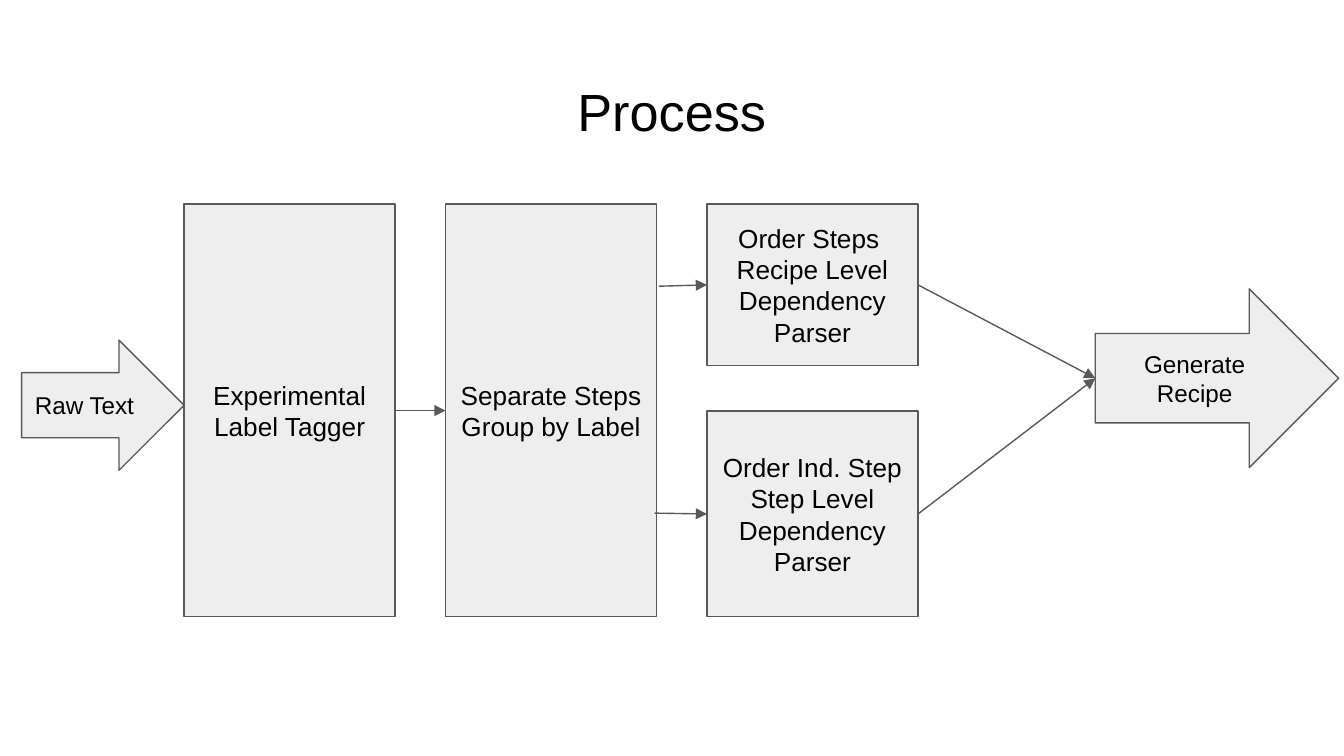
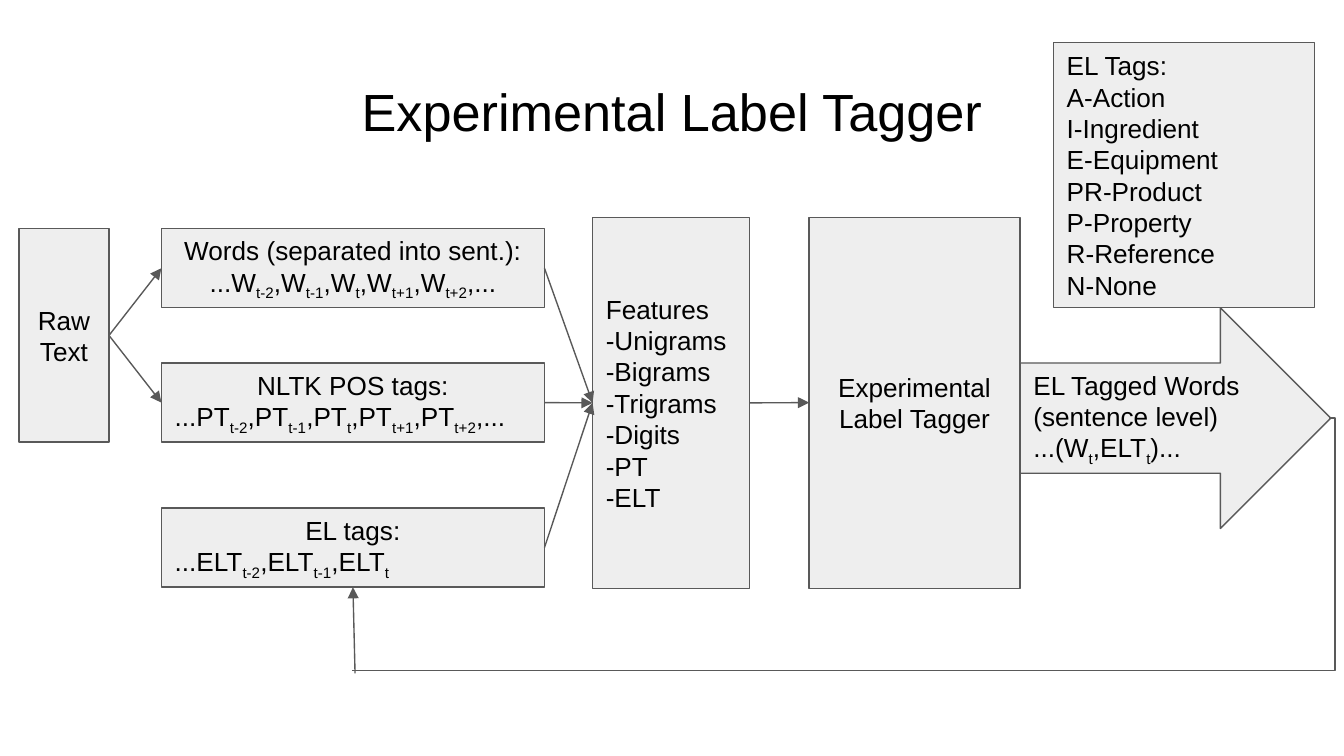
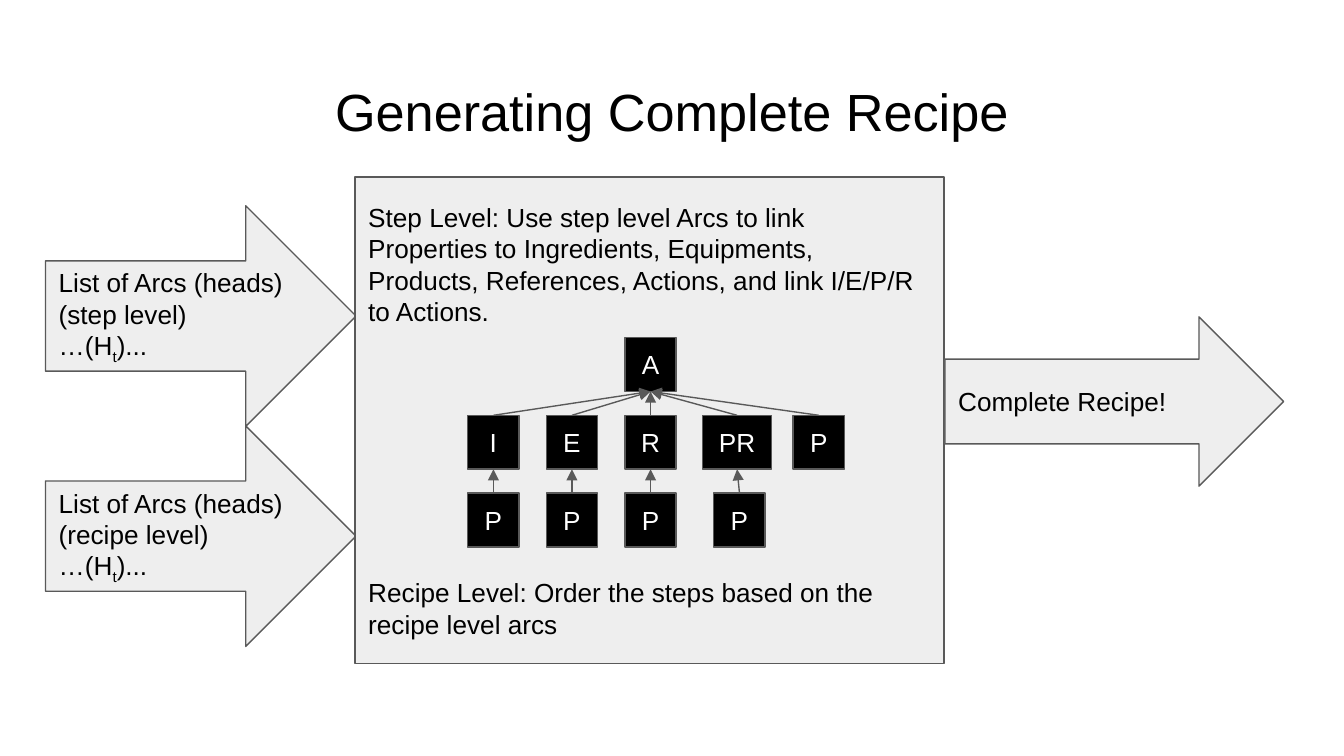
"""Build three diagrams of a recipe-generating pipeline."""
from lxml import etree
from pptx import Presentation, util as u
from pptx.dml.color import RGBColor
from pptx.enum import shapes, text
from pptx.oxml.ns import qn

FONT, INK, PAPER, PALE, EDGE = "Arial", "000000", "FFFFFF", "EEEEEE", "595959"
SLIDE_SIZE = (25.4, 14.29)
TITLE_BOX = (0.86, 1.24, 23.67, 1.6)
INSET = 0.25
LEFT, CENTER = text.PP_ALIGN.LEFT, text.PP_ALIGN.CENTER
SITES = {"top": 0, "left": 1, "bottom": 2, "right": 3}
GEOMETRY = {"box": shapes.MSO_SHAPE.RECTANGLE, "arrow": shapes.MSO_SHAPE.RIGHT_ARROW}

STAGE_LEFT, STAGE_STEP, STAGE_WIDTH, STAGE_TOP = 3.48, 4.94, 3.99, 3.86
STAGES = [STAGE_LEFT + STAGE_STEP * column for column in range(3)]
INPUT_LEFT, INPUT_WIDTH, INPUT_HEIGHT = 3.05, 7.24, 1.5
BIG_ARROW = (5.87, 4.17)
NODE_WIDTH, NODE_HEIGHT, NODE_STEP = 0.97, 1.02, 1.47
TREE_LEFT, TREE_TOP = 8.84, 6.38
TREE_COLUMNS = [TREE_LEFT + 1.485 * column for column in range(3)]

# Each part is name, kind, box, text and format; "~" encloses a subscript.
PROCESS = {
    "title": "Process",
    "parts": [
        ("tagger", "box", (STAGES[0], STAGE_TOP, STAGE_WIDTH, 7.8),
         "Experimental Label Tagger", {}),
        ("separate", "box", (STAGES[1], STAGE_TOP, STAGE_WIDTH, 7.8),
         "Separate Steps \nGroup by Label", {}),
        ("order step", "box", (STAGES[2], 7.77, STAGE_WIDTH, 3.89),
         "Order Ind. Step\nStep Level Dependency Parser", {}),
        ("raw", "arrow", (0.41, 6.43, 3.07, 2.46), "Raw Text", {"size": 13, "align": LEFT}),
        ("order recipe", "box", (STAGES[2], STAGE_TOP, STAGE_WIDTH, 3.05),
         "Order Steps \nRecipe Level Dependency Parser", {}),
        ("generate", "arrow", (20.7, 5.46, 4.6, 3.38), "Generate Recipe", {"size": 13}),
    ],
    "links": [
        (("tagger", "right"), ("separate", "left")),
        ((12.37, 9.7), ("order step", "left")),
        ((12.45, 5.41), ("order recipe", "left")),
        (("order recipe", "right"), ("generate", "left")),
        (("order step", "right"), ("generate", "left")),
    ],
}

TAGGER = {
    "title": "Experimental Label Tagger",
    "parts": [
        ("tagger", "box", (15.29, 4.11, 3.99, 7.01), "Experimental Label Tagger", {}),
        ("words", "box", (INPUT_LEFT, 4.32, INPUT_WIDTH, INPUT_HEIGHT),
         "Words (separated into sent.):\n...W~t-2~,W~t-1~,W~t~,W~t+1~,W~t+2~,...", {}),
        ("pos", "box", (INPUT_LEFT, 6.86, INPUT_WIDTH, INPUT_HEIGHT),
         "NLTK POS tags:\n...PT~t-2~,PT~t-1~,PT~t~,PT~t+1~,PT~t+2~,...", {"rest": LEFT}),
        ("labels", "box", (INPUT_LEFT, 9.6, INPUT_WIDTH, INPUT_HEIGHT),
         "EL tags:\n...ELT~t-2~,ELT~t-1~,ELT~t~", {"rest": LEFT}),
        ("features", "box", (11.2, 4.11, 2.97, 7.01),
         "Features\n-Unigrams\n-Bigrams\n-Trigrams\n-Digits\n-PT\n-ELT", {"align": LEFT}),
        ("tagged", "arrow", (19.28, 5.82, *BIG_ARROW),
         "EL Tagged Words\v(sentence level)\n...(W~t~,ELT~t~)...", {"align": LEFT}),
        ("raw", "box", (0.36, 4.32, 1.7, 4.04), "Raw Text", {}),
        ("legend", "box", (19.91, 0.81, 4.93, 5),
         "EL Tags:\vA-Action\nI-Ingredient\nE-Equipment\nPR-Product\nP-Property\n"
         "R-Reference\nN-None", {"align": LEFT}),
    ],
    "links": [((source, "right"), ("features", "left")) for source in ("words", "pos", "labels")]
    + [(("raw", "right"), (target, "left")) for target in ("words", "pos")]
    + [(("features", "right"), (15.29, 7.61)), ((6.71, 12.73), ("labels", "bottom"))],
    "feedback": ((25.12, 7.9), (6.65, 12.67), -600),
}

TREE = [
    ("root", "A", TREE_COLUMNS[2], 0, NODE_WIDTH),
    ("ingredient", "I", TREE_COLUMNS[0], 1, NODE_WIDTH),
    ("equipment", "E", TREE_COLUMNS[1], 1, NODE_WIDTH),
    ("reference", "R", TREE_COLUMNS[2], 1, NODE_WIDTH),
    ("product", "PR", 13.28, 1, 1.3),
    ("property", "P", 14.99, 1, NODE_WIDTH),
    ("product property", "P", 13.49, 2, NODE_WIDTH),
    ("reference property", "P", TREE_COLUMNS[2], 2, NODE_WIDTH),
    ("equipment property", "P", TREE_COLUMNS[1], 2, NODE_WIDTH),
    ("ingredient property", "P", TREE_COLUMNS[0], 2, NODE_WIDTH),
]
HEADS = ["ingredient", "equipment", "reference", "product"]

RECIPE = {
    "title": "Generating Complete Recipe",
    "parts": [
        (f"{level} arcs", "arrow", (0.86, top, *BIG_ARROW),
         f"List of Arcs (heads)\v({level} level)\n…(H~t~)...", {"align": LEFT})
        for level, top in (("recipe", 8.05), ("step", 3.89))
    ] + [
        ("levels", "box", (6.71, 3.35, 11.13, 9.19),
         "Step Level: Use step level Arcs to link Properties to Ingredients, Equipments, "
         "Products, References, Actions, and link I/E/P/R to Actions.\n"
         "Recipe Level: Order the steps based on the recipe level arcs",
         {"align": LEFT, "gap": 134}),
        ("complete", "arrow", (17.86, 5.99, 6.4, 3.2), "Complete Recipe!", {"align": LEFT}),
    ] + [
        (name, "box", (left, TREE_TOP + NODE_STEP * row, width, NODE_HEIGHT), label,
         {"fill": INK, "color": PAPER})
        for name, label, left, row, width in TREE
    ],
    "links": [((f"{head} property", "top"), (head, "bottom")) for head in HEADS]
    + [((child, "top"), ("root", "bottom")) for child in HEADS + ["property"]],
}


def rgb(value):
    """Turn a hex string into a colour."""
    return RGBColor.from_string(value)


def write(shape, content, size=14, color=INK, align=CENTER, rest=None, gap=0,
          anchor=text.MSO_ANCHOR.MIDDLE):
    """Write paragraphs, line breaks and subscripts into a shape."""
    frame = shape.text_frame
    frame.word_wrap = True
    frame.vertical_anchor = anchor
    frame.margin_left = frame.margin_right = u.Cm(INSET)
    frame.margin_top = frame.margin_bottom = u.Cm(INSET)
    for number, line in enumerate(content.split("\n")):
        paragraph = frame.add_paragraph() if number else frame.paragraphs[0]
        paragraph.alignment = rest if number and rest else align
        paragraph.space_before = u.Pt(gap if number else 0)
        for order, piece in enumerate(line.split("~")):
            for row, words in enumerate(piece.split("\v")):
                if row:
                    paragraph.add_line_break()
                if not words:
                    continue
                run = paragraph.add_run()
                run.text = words
                run.font.name, run.font.size = FONT, u.Pt(size)
                run.font.color.rgb = rgb(color)
                if order % 2:
                    run._r.get_or_add_rPr().set("baseline", "-25000")


def outline(line):
    """Give a line the shared colour and width."""
    line.color.rgb = rgb(EDGE)
    line.width = u.Pt(0.75)


def add_part(slide, kind, box, content, fill=PALE, **style):
    """Add a filled and outlined shape with its text."""
    shape = slide.shapes.add_shape(GEOMETRY[kind], *map(u.Cm, box))
    shape.shadow.inherit = False
    shape.fill.solid()
    shape.fill.fore_color.rgb = rgb(fill)
    outline(shape.line)
    write(shape, content, **style)
    return shape


def add_line(slide, start, end, kind=shapes.MSO_CONNECTOR.STRAIGHT):
    """Add an outlined connector without shadow."""
    connector = slide.shapes.add_connector(kind, *map(u.Cm, (*start, *end)))
    outline(connector.line)
    etree.SubElement(connector._element.spPr, qn("a:effectLst"))
    return connector


def add_link(slide, parts, start, end):
    """Add an arrow between points or named sides of parts."""
    points = [(0, 0) if isinstance(place[0], str) else place for place in (start, end)]
    connector = add_line(slide, *points)
    for place, connect in ((start, connector.begin_connect), (end, connector.end_connect)):
        if isinstance(place[0], str):
            connect(parts[place[0]], SITES[place[1]])
    etree.SubElement(connector.line._get_or_add_ln(), qn("a:tailEnd"), type="triangle")


def add_feedback(slide, start, end, bend):
    """Add an elbow line that bends outside its ends."""
    connector = add_line(slide, start, end, shapes.MSO_CONNECTOR.ELBOW)
    guides = connector._element.spPr.find(qn("a:prstGeom")).find(qn("a:avLst"))
    etree.SubElement(guides, qn("a:gd"), name="adj1", fmla=f"val {bend}")


def add_diagram(presentation, diagram):
    """Add a slide with its title, parts and links."""
    slide = presentation.slides.add_slide(presentation.slide_layouts[6])
    slide.background.fill.solid()
    slide.background.fill.fore_color.rgb = rgb(PAPER)
    title = slide.shapes.add_textbox(*map(u.Cm, TITLE_BOX))
    write(title, diagram["title"], size=28, anchor=text.MSO_ANCHOR.TOP)
    parts = {name: add_part(slide, kind, box, content, **style)
             for name, kind, box, content, style in diagram["parts"]}
    for start, end in diagram["links"]:
        add_link(slide, parts, start, end)
    if "feedback" in diagram:
        add_feedback(slide, *diagram["feedback"])


def main():
    """Build and save the presentation."""
    presentation = Presentation()
    presentation.slide_width, presentation.slide_height = map(u.Cm, SLIDE_SIZE)
    for diagram in (PROCESS, TAGGER, RECIPE):
        add_diagram(presentation, diagram)
    presentation.save("out.pptx")


if __name__ == "__main__":
    main()
